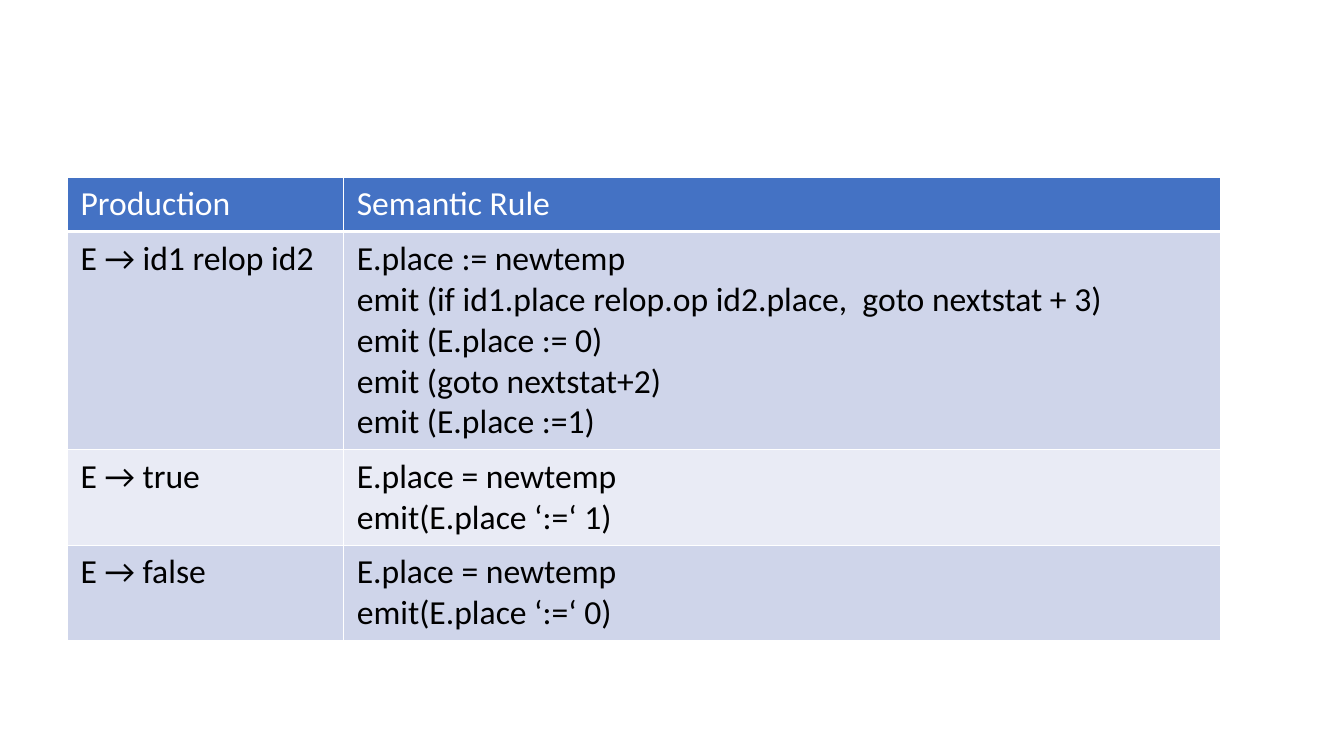
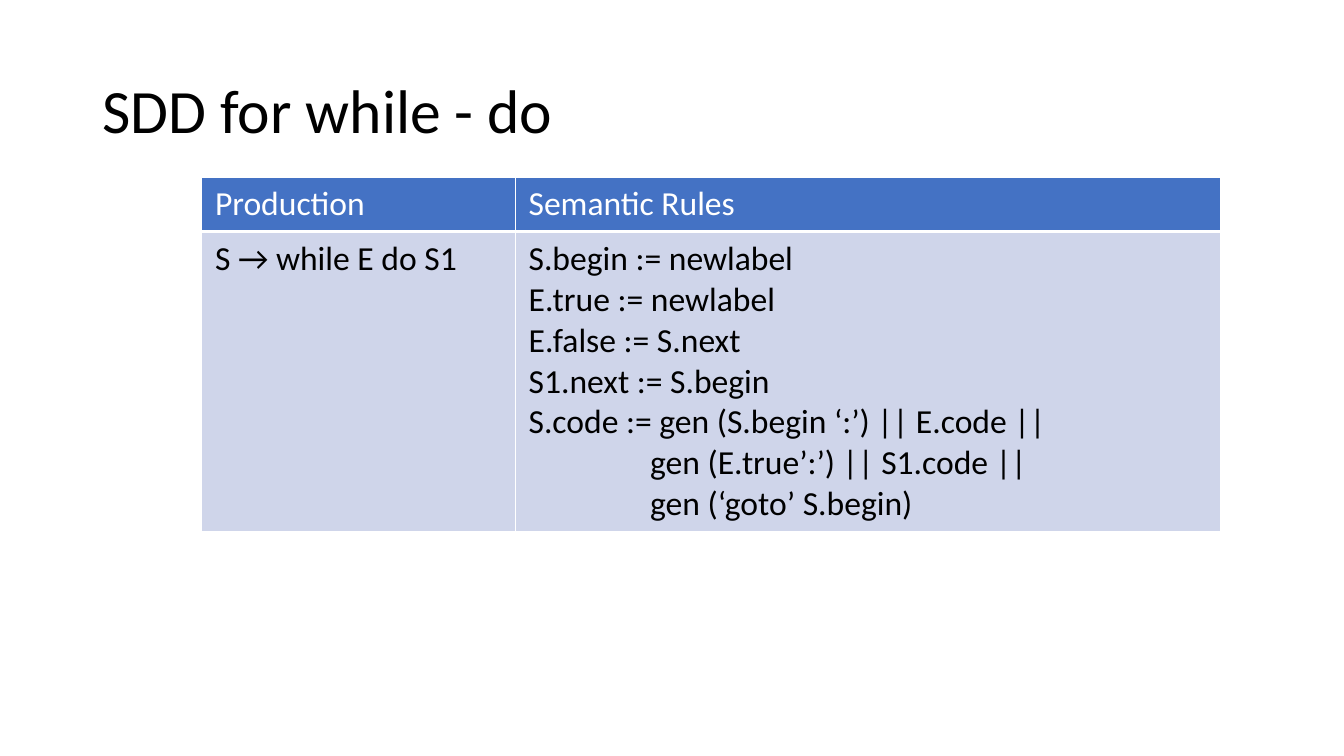
from lxml.etree import SubElement
from pptx import Presentation
from pptx.dml.color import RGBColor
from pptx.enum.text import MSO_ANCHOR, PP_ALIGN
from pptx.oxml.ns import qn
from pptx.util import Pt

FONT = "Calibri"
WHITE, BLACK = "FFFFFF", "000000"
HEADER, BANDS = "4472C4", ("CFD5EA", "E9EBF5")
TITLE_SIZE, CELL_SIZE = 44, 24
LINE_HEIGHT = 29.25
MARGIN_X, MARGIN_Y = 9.6, 4.8
TABLE_TOP = 126.4
TITLE_ONLY, BLANK = 5, 6

BOOLEAN_RULES = [
    ("Production", "Semantic Rule"),
    ("E → id1 relop id2",
     "E.place := newtemp\n"
     "emit (if id1.place relop.op id2.place,  goto nextstat + 3)\n"
     "emit (E.place := 0)\n"
     "emit (goto nextstat+2)\n"
     "emit (E.place :=1)"),
    ("E → true", "E.place = newtemp\nemit(E.place ‘:=‘ 1)"),
    ("E → false", "E.place = newtemp\nemit(E.place ‘:=‘ 0)"),
]
WHILE_RULES = [
    ("Production", "Semantic Rules"),
    ("S → while E do S1",
     "S.begin := newlabel\n"
     "E.true := newlabel\n"
     "E.false := S.next\n"
     "S1.next := S.begin\n"
     "S.code := gen (S.begin ‘:’) || E.code ||\n"
     "                gen (E.true’:’) || S1.code ||\n"
     "                gen (‘goto’ S.begin)"),
]


def rgb(color):
    return RGBColor.from_string(color)


def style_font(font, size, color):
    font.name = FONT
    font.size = Pt(size)
    font.bold = False
    font.color.rgb = rgb(color)


def set_borders(cell, bottom):
    """Draw white cell borders; they must come before the fill in the XML."""
    tcPr = cell._tc.get_or_add_tcPr()
    widths = {"a:lnL": 1, "a:lnR": 1, "a:lnT": 1, "a:lnB": bottom}
    for i, (tag, width) in enumerate(widths.items()):
        ln = SubElement(tcPr, qn(tag), w=str(Pt(width)))
        fill = SubElement(ln, qn("a:solidFill"))
        SubElement(fill, qn("a:srgbClr"), val=WHITE)
        tcPr.insert(i, ln)


def fill_cell(cell, text, row):
    is_header = row == 0
    cell.margin_left = cell.margin_right = Pt(MARGIN_X)
    cell.margin_top = cell.margin_bottom = Pt(MARGIN_Y)
    cell.fill.solid()
    cell.fill.fore_color.rgb = rgb(HEADER if is_header else BANDS[(row - 1) % 2])
    set_borders(cell, bottom=3 if is_header else 1)
    cell.text_frame.text = text
    for p in cell.text_frame.paragraphs:
        for r in p.runs:
            style_font(r.font, CELL_SIZE, WHITE if is_header else BLACK)


def row_height(texts):
    lines = max(text.count("\n") + 1 for text in texts)
    return lines * LINE_HEIGHT + 2 * MARGIN_Y


def add_rule_table(slide, rows, left, top, col_widths):
    heights = [row_height(texts) for texts in rows]
    frame = slide.shapes.add_table(len(rows), len(col_widths), Pt(left), Pt(top),
                                   Pt(sum(col_widths)), Pt(sum(heights)))
    table = frame.table
    for column, width in zip(table.columns, col_widths):
        column.width = Pt(width)
    for i, texts in enumerate(rows):
        table.rows[i].height = Pt(heights[i])
        for j, text in enumerate(texts):
            fill_cell(table.cell(i, j), text, i)


def set_title(slide, text, left, top, width, height):
    sp = slide.shapes.title
    sp.left, sp.top, sp.width, sp.height = map(Pt, (left, top, width, height))
    tf = sp.text_frame
    tf.text = text
    tf.vertical_anchor = MSO_ANCHOR.MIDDLE
    p = tf.paragraphs[0]
    p.alignment = PP_ALIGN.LEFT
    p.line_spacing = 0.9
    style_font(p.runs[0].font, TITLE_SIZE, BLACK)


def add_rule_slide(prs, rows, left, col_widths, title=None):
    layout = prs.slide_layouts[TITLE_ONLY if title else BLANK]
    slide = prs.slides.add_slide(layout)
    if title:
        set_title(slide, title, 66, 28.75, 828, 104.4)
    add_rule_table(slide, rows, left, TABLE_TOP, col_widths)


def main():
    prs = Presentation()
    prs.slide_width, prs.slide_height = Pt(960), Pt(540)
    add_rule_slide(prs, BOOLEAN_RULES, 48, (197.3, 626.5))
    add_rule_slide(prs, WHILE_RULES, 144, (224, 504), title="SDD for while - do")
    prs.save("out.pptx")


if __name__ == "__main__":
    main()
